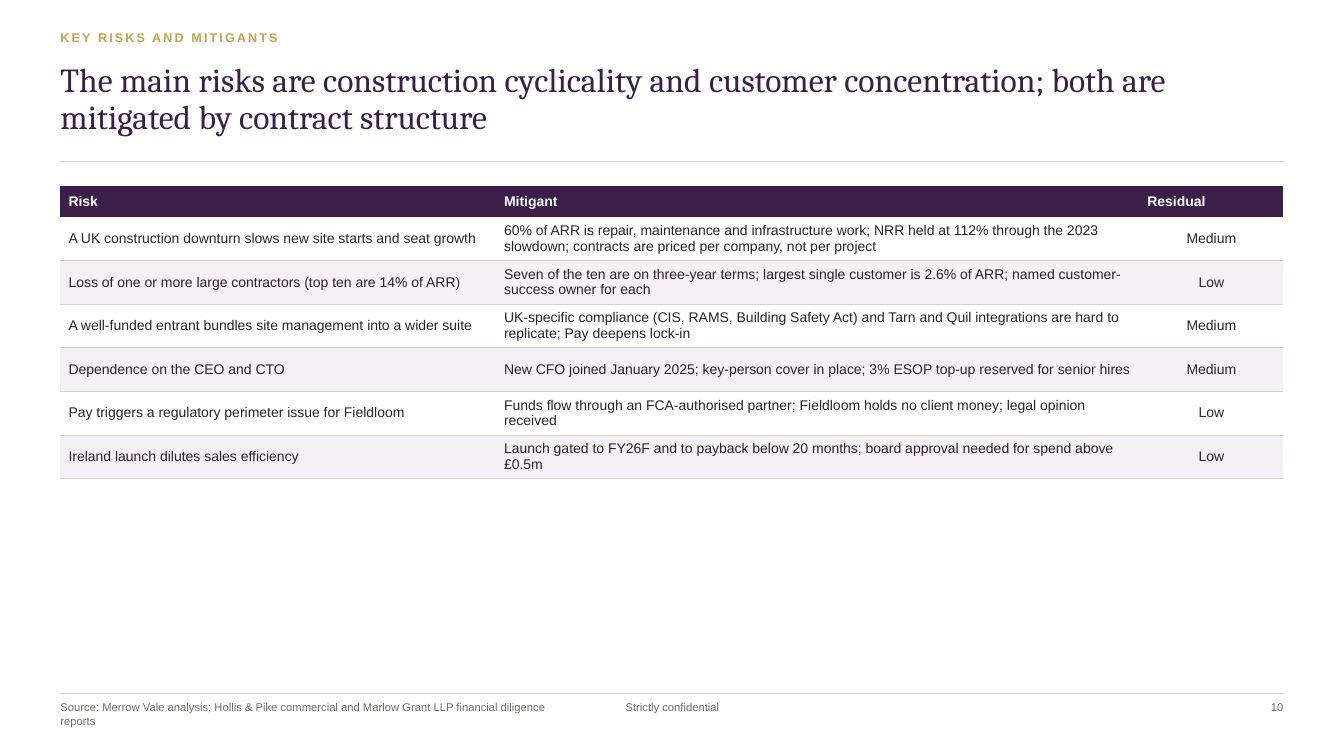
"""Builds the key risks and mitigants slide with its risk table."""
from lxml import etree
from pptx import Presentation
from pptx.dml.color import RGBColor
from pptx.enum import shapes, text
from pptx.oxml import ns
from pptx.util import Inches, Pt

PLUM, GOLD, INK, GREY = "3B1F4A", "C8A24A", "2A2328", "6E6A66"
RULE, BAND, WHITE = "D8D2CA", "F4F0F6", "FFFFFF"
LEFT, WIDTH = 0.6, 12.13
NO_GRID_STYLE = "{2D5ABB26-0587-4C30-8999-92F81FD0307C}"
COLUMN_WIDTHS = (4.32, 6.38, 1.43)
TABLE_TOP, TABLE_HEIGHT, HEADER_HEIGHT = 1.85, 2.9, 0.3
ALIGN = text.PP_ALIGN
SMALL = {"size": Pt(8), "name": "Arial", "color": GREY}
KICKER = {"size": Pt(9), "name": "Arial", "bold": True, "color": GOLD}
HEADLINE = {"size": Pt(24), "name": "Cambria", "bold": False, "color": PLUM}
HEADER = {"size": Pt(10), "name": "Arial", "bold": True, "color": WHITE}
BODY = {"size": Pt(10), "name": "Arial", "bold": False, "color": INK}

RISKS = [
    ("Risk", "Mitigant", "Residual"),
    ("A UK construction downturn slows new site starts and seat growth",
     "60% of ARR is repair, maintenance and infrastructure work; NRR held at 112% through "
     "the 2023 slowdown; contracts are priced per company, not per project", "Medium"),
    ("Loss of one or more large contractors (top ten are 14% of ARR)",
     "Seven of the ten are on three-year terms; largest single customer is 2.6% of ARR; "
     "named customer-success owner for each", "Low"),
    ("A well-funded entrant bundles site management into a wider suite",
     "UK-specific compliance (CIS, RAMS, Building Safety Act) and Tarn and Quil "
     "integrations are hard to replicate; Pay deepens lock-in", "Medium"),
    ("Dependence on the CEO and CTO",
     "New CFO joined January 2025; key-person cover in place; 3% ESOP top-up reserved "
     "for senior hires", "Medium"),
    ("Pay triggers a regulatory perimeter issue for Fieldloom",
     "Funds flow through an FCA-authorised partner; Fieldloom holds no client money; "
     "legal opinion received", "Low"),
    ("Ireland launch dilutes sales efficiency",
     "Launch gated to FY26F and to payback below 20 months; board approval needed for "
     "spend above £0.5m", "Low"),
]


def rgb(value):
    """Return the colour for a hex string."""
    return RGBColor.from_string(value)


def write(frame, content, style, align=ALIGN.LEFT):
    """Put one formatted paragraph in a text frame and return it."""
    paragraph = frame.paragraphs[0]
    paragraph.alignment = align
    run = paragraph.add_run()
    run.text = content
    for name, value in style.items():
        if name == "color":
            run.font.color.rgb = rgb(value)
        else:
            setattr(run.font, name, value)
    return paragraph


def fill_box(shape, box, content, style, align=ALIGN.LEFT):
    """Place a text shape without margins and write its paragraph."""
    shape.left, shape.top, shape.width, shape.height = map(Inches, box)
    frame = shape.text_frame
    settings = {"margin_left": 0, "margin_top": 0, "margin_right": 0, "margin_bottom": 0,
                "word_wrap": True, "auto_size": text.MSO_AUTO_SIZE.NONE,
                "vertical_anchor": text.MSO_ANCHOR.TOP}
    for name, value in settings.items():
        setattr(frame, name, value)
    return write(frame, content, style, align)


def add_label(slide, box, content, style, align=ALIGN.LEFT):
    """Add a text box and return its paragraph."""
    shape = slide.shapes.add_textbox(*map(Inches, box))
    return fill_box(shape, box, content, style, align)


def add_rule(slide, top, weight):
    """Draw a horizontal rule across the content width."""
    line = slide.shapes.add_connector(
        shapes.MSO_CONNECTOR.STRAIGHT,
        *map(Inches, (LEFT, top, LEFT + WIDTH, top)))
    line.line.color.rgb = rgb(RULE)
    line.line.width = Pt(weight)
    etree.SubElement(line._element.spPr, ns.qn("a:effectLst"))


def add_bottom_border(cell):
    """Give a table cell a thin line along its bottom."""
    border = etree.Element(ns.qn("a:lnB"), w=str(Pt(0.5)))
    fill = etree.SubElement(border, ns.qn("a:solidFill"))
    etree.SubElement(fill, ns.qn("a:srgbClr"), val=RULE)
    cell._tc.get_or_add_tcPr().insert(0, border)


def format_cell(cell, content, row, column):
    """Write a table cell with the look of its row and column."""
    margins = {"margin_left": 0.08, "margin_right": 0.08,
               "margin_top": 0.04, "margin_bottom": 0.04}
    for name, value in margins.items():
        setattr(cell, name, Inches(value))
    cell.vertical_anchor = text.MSO_ANCHOR.MIDDLE
    cell.fill.solid()
    cell.fill.fore_color.rgb = rgb(PLUM if row == 0 else WHITE if row % 2 else BAND)
    if row:
        add_bottom_border(cell)
    align = ALIGN.CENTER if row and column == 2 else ALIGN.LEFT
    write(cell.text_frame, content, BODY if row else HEADER, align)


def add_risk_table(slide):
    """Add the table of risks, mitigants and residual ratings."""
    frame = slide.shapes.add_table(
        len(RISKS), len(COLUMN_WIDTHS),
        *map(Inches, (LEFT, TABLE_TOP, WIDTH, TABLE_HEIGHT)))
    table = frame.table
    table._tbl.tblPr.find(ns.qn("a:tableStyleId")).text = NO_GRID_STYLE
    for column, width in zip(table.columns, COLUMN_WIDTHS):
        column.width = Inches(width)
    row_height = (TABLE_HEIGHT - HEADER_HEIGHT) / (len(RISKS) - 1)
    for row, values in enumerate(RISKS):
        table.rows[row].height = Inches(row_height if row else HEADER_HEIGHT)
        for column, content in enumerate(values):
            format_cell(table.cell(row, column), content, row, column)


def add_source(slide):
    """Write the source note in the body placeholder without a bullet."""
    paragraph = fill_box(
        slide.placeholders[1], (LEFT, 6.95, 5, 0.4),
        "Source: Merrow Vale analysis; Hollis & Pike commercial and Marlow Grant LLP "
        "financial diligence reports", SMALL)
    properties = paragraph._p.get_or_add_pPr()
    properties.set("marL", "0")
    properties.set("indent", "0")
    etree.SubElement(properties, ns.qn("a:buNone"))
    paragraph.space_before = Pt(0)


def main():
    """Build the slide and save it."""
    presentation = Presentation()
    presentation.slide_width, presentation.slide_height = Inches(13.33), Inches(7.5)
    slide = presentation.slides.add_slide(presentation.slide_layouts[1])
    add_rule(slide, 6.88, 0.5)
    kicker = add_label(slide, (LEFT, 0.3, 7, 0.25), "KEY RISKS AND MITIGANTS", KICKER)
    kicker.runs[0].font._element.set("spc", "150")
    add_rule(slide, 1.6, 0.75)
    title = fill_box(
        slide.shapes.title, (LEFT, 0.62, WIDTH, 0.9),
        "The main risks are construction cyclicality and customer concentration; "
        "both are mitigated by contract structure", HEADLINE)
    title.line_spacing = 0.92
    add_risk_table(slide)
    add_source(slide)
    add_label(slide, (5.67, 6.95, 2, 0.25), "Strictly confidential", SMALL, ALIGN.CENTER)
    add_label(slide, (11.73, 6.95, 1, 0.25), "10", SMALL, ALIGN.RIGHT)
    presentation.save("out.pptx")


if __name__ == "__main__":
    main()
